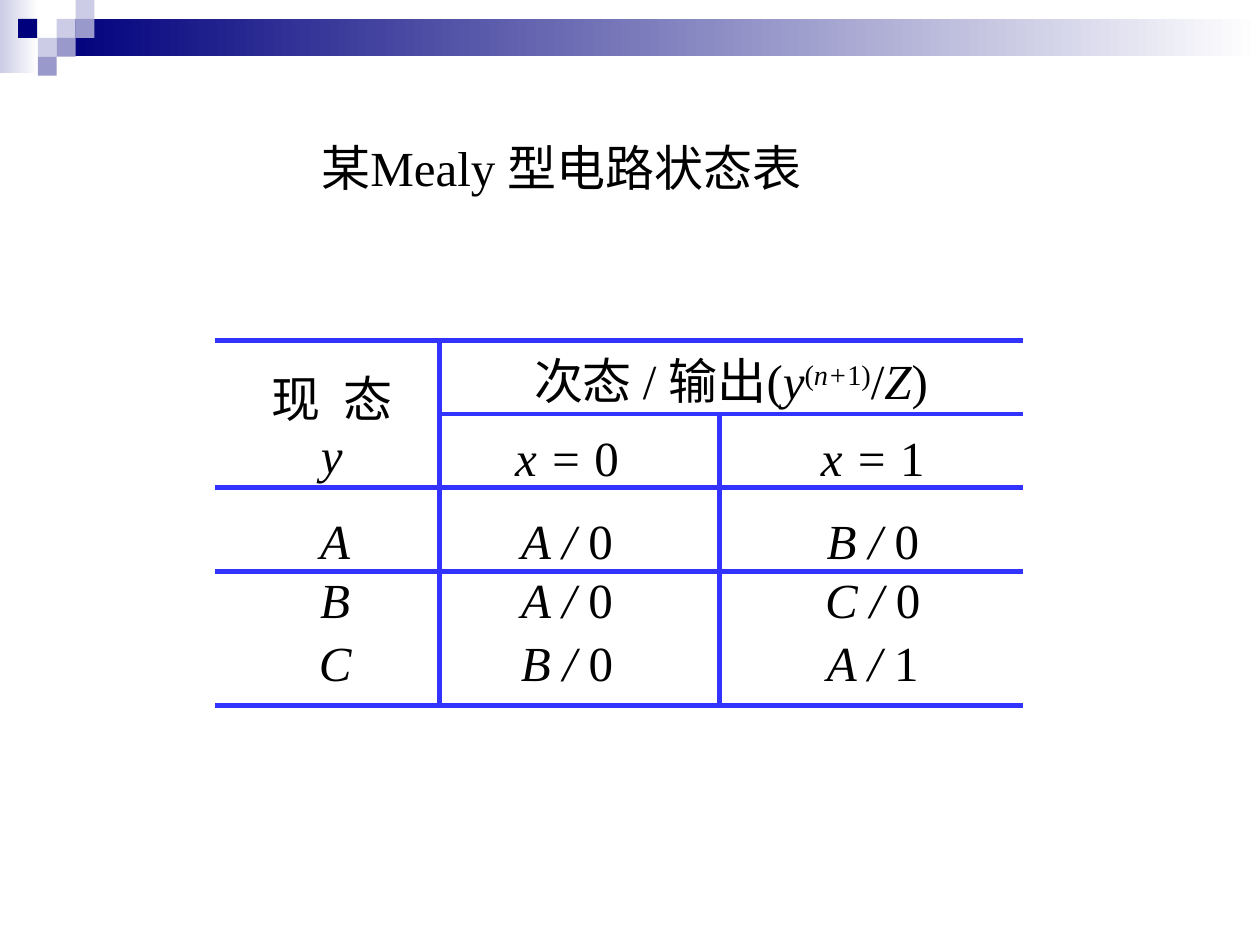
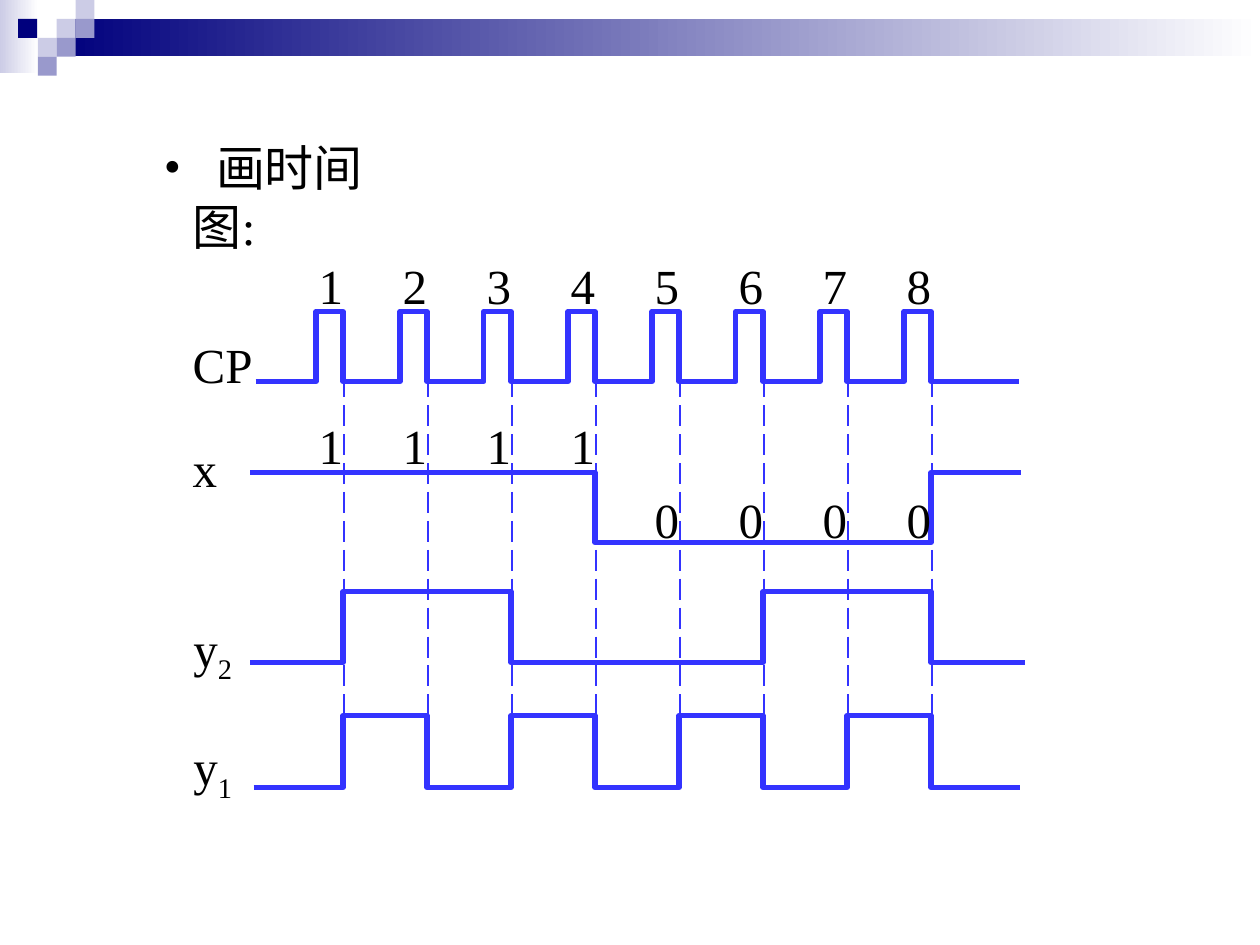
from dataclasses import dataclass

from lxml.etree import SubElement
from pptx import Presentation
from pptx.dml.color import RGBColor
from pptx.enum.dml import MSO_LINE
from pptx.enum.shapes import MSO_CONNECTOR, MSO_SHAPE
from pptx.enum.text import MSO_ANCHOR, MSO_AUTO_SIZE, PP_ALIGN
from pptx.oxml import parse_xml
from pptx.oxml.ns import nsdecls, qn
from pptx.util import Pt


@dataclass(frozen=True)
class Theme:
    font: str = "Times New Roman"
    size: float = 28
    text: str = "000000"
    line: str = "3333FF"
    navy: str = "00007D"
    violet: str = "9999CC"
    pale: str = "CCCCE6"
    white: str = "FFFFFF"
    heavy: float = 3
    thin: float = 1.5


THEME = Theme()
ITALIC = {"italic": True}
SUPER = {"baseline": 30}
SUPER_ITALIC = {"italic": True, "baseline": 30}
SUB = {"baseline": -25}
WIDE = {"spacing": 7}

# Shared band: left, top, width, height, colours from left to right
BAND = [
    (0, 0, 22, 42, (THEME.pale, THEME.white)),
    (32.4, 10.8, 687.6, 21.3, (THEME.navy, THEME.white)),
]
SQUARE = 10.8
SQUARES = [
    (32.4, 10.8, THEME.pale), (43.2, 0, THEME.pale), (43.2, 10.8, THEME.violet),
    (21.6, 21.6, THEME.pale), (10.4, 10.8, THEME.navy), (32.4, 21.6, THEME.violet),
    (21.6, 32.4, THEME.violet),
]

# State table: runs are (text, style)
TABLE_TITLE = [("某Mealy 型电路状态表", {})]
STATE_HEADING = [[("现", {}), (" ", WIDE), ("态", {})], [("y", ITALIC)]]
NEXT_HEADING = [
    ("次态 / 输出(", {}), ("y", ITALIC), ("(", SUPER), ("n+", SUPER_ITALIC),
    ("1)", SUPER), ("/", {}), ("Z", ITALIC), (")", {}),
]
INPUTS = "01"
STATES = [("A", ("A", "0"), ("B", "0")),
          ("B", ("A", "0"), ("C", "0")),
          ("C", ("B", "0"), ("A", "1"))]
TABLE_LEFT, TABLE_TOP = 123, 194.5
COLUMN_WIDTHS = [128, 160, 173.5]
ROW_HEIGHTS = [42, 42, 48, 36, 40.5]
ROW_PADDING = [8, 11, 16, 2, 2]
HEADER_SPACING = [34, 31]
STATE_SPACING = [10, 30]
COLUMN_INSETS = [(9, 0), (0, 14), (2, 0)]

# Timing diagram
DIAGRAM_TITLE = [(" ", WIDE), ("画时间图:", {})]
FIRST_EDGE, CLOCK_STEP, PULSE = 196, 48, 15.5
EDGES = [FIRST_EDGE + CLOCK_STEP * index for index in range(8)]
INPUT_BITS = "11110000"
CLOCK_TOGGLES = [x for edge in EDGES for x in (edge - PULSE, edge)]
# start, end, first level, other level, places where the level changes
WAVES = [
    (146, 582, 218, 178, CLOCK_TOGGLES),
    (143, 583.5, 270, 310, [EDGES[3], EDGES[7]]),
    (143, 586, 378.5, 338, [EDGES[index] for index in (0, 2, 5, 7)]),
    (145, 583, 450, 409, EDGES),
]
# left, top, width, runs
SIGNAL_NAMES = [
    (103, 187.5, 60, [("CP", {})]),
    (103, 247, 28, [("x", {})]),
    (103.5, 350, 50, [("y", {}), ("2", SUB)]),
    (103.5, 417.5, 50, [("y", {}), ("1", SUB)]),
]


def color(value):
    return RGBColor.from_string(value)


def add_runs(paragraph, runs):
    for text, style in runs:
        run = paragraph.add_run()
        run.text = text
        font = run.font
        font.name, font.size = THEME.font, Pt(THEME.size)
        font.color.rgb = color(THEME.text)
        font.italic = style.get("italic", False)
        properties = run.font._element
        if "baseline" in style:
            properties.set("baseline", str(style["baseline"] * 1000))
        if "spacing" in style:
            properties.set("spc", str(style["spacing"] * 100))


def add_label(slide, left, top, width, runs):
    box = slide.shapes.add_textbox(Pt(left), Pt(top), Pt(width), Pt(41))
    box.text_frame.word_wrap = False
    add_runs(box.text_frame.paragraphs[0], runs)


def place_title(slide, left, width, height, runs):
    title = slide.shapes.title
    title.left, title.top = Pt(left), Pt(75)
    title.width, title.height = Pt(width), Pt(height)
    frame = title.text_frame
    frame.word_wrap = True
    frame.auto_size = MSO_AUTO_SIZE.NONE
    frame.vertical_anchor = MSO_ANCHOR.TOP
    paragraph = frame.paragraphs[0]
    paragraph.alignment = PP_ALIGN.LEFT
    add_runs(paragraph, runs)
    return paragraph


def add_bullet(paragraph, indent):
    properties = paragraph._p.get_or_add_pPr()
    properties.set("marL", str(Pt(indent)))
    properties.set("indent", str(-Pt(indent)))
    bullet_color = SubElement(properties, qn("a:buClr"))
    SubElement(bullet_color, qn("a:srgbClr")).set("val", THEME.text)
    SubElement(properties, qn("a:buFont")).set("typeface", THEME.font)
    SubElement(properties, qn("a:buChar")).set("char", "•")


def add_band(layout, slide):
    """Draw the shared band and move it to the layout."""
    squares = [(left, top, SQUARE, SQUARE, (fill,)) for left, top, fill in SQUARES]
    for number, (left, top, width, height, colors) in enumerate(BAND + squares, 100):
        shape = slide.shapes.add_shape(
            MSO_SHAPE.RECTANGLE, Pt(left), Pt(top), Pt(width), Pt(height))
        shape.shadow.inherit = False
        shape.line.fill.background()
        if len(colors) == 1:
            shape.fill.solid()
            shape.fill.fore_color.rgb = color(colors[0])
        else:
            shape.fill.gradient()
            shape.fill.gradient_angle = 0
            for stop, value in zip(shape.fill.gradient_stops, colors):
                stop.color.rgb = color(value)
        shape.element.nvSpPr.cNvPr.set("id", str(number))
        layout.shapes.element.append(shape.element)


def set_borders(cell, row, column):
    sides = {
        "L": column == 1 or (column == 2 and row > 0),
        "R": column == 0 or (column == 1 and row > 0),
        "T": row <= 2,
        "B": row == len(ROW_HEIGHTS) - 1,
    }
    properties = cell._tc.get_or_add_tcPr()
    shown = [side for side, visible in sides.items() if visible]
    for position, side in enumerate(shown):
        properties.insert(position, parse_xml(
            f'<a:ln{side} {nsdecls("a")} w="{Pt(THEME.heavy)}"><a:solidFill>'
            f'<a:srgbClr val="{THEME.line}"/></a:solidFill></a:ln{side}>'))


def fill_cell(cell, paragraphs, spacings):
    frame = cell.text_frame
    for index, runs in enumerate(paragraphs):
        paragraph = frame.add_paragraph() if index else frame.paragraphs[0]
        paragraph.alignment = PP_ALIGN.CENTER
        if spacings:
            paragraph.line_spacing = Pt(spacings[index])
        add_runs(paragraph, runs)


def add_state_table(slide):
    frame = slide.shapes.add_table(
        len(ROW_HEIGHTS), len(COLUMN_WIDTHS), Pt(TABLE_LEFT), Pt(TABLE_TOP),
        Pt(sum(COLUMN_WIDTHS)), Pt(sum(ROW_HEIGHTS)))
    table = frame.table
    table.first_row = table.horz_banding = False
    # The plain style has neither fill nor grid
    style = table._tbl.tblPr.find(qn("a:tableStyleId"))
    style.text = "{2D5ABB26-0587-4C30-8999-92F81FD0307C}"
    for column, width in zip(table.columns, COLUMN_WIDTHS):
        column.width = Pt(width)
    for row, height in zip(table.rows, ROW_HEIGHTS):
        row.height = Pt(height)

    # Paragraphs and exact line spacings by cell
    contents = {(0, 0): (STATE_HEADING, STATE_SPACING),
                (0, 1): ([NEXT_HEADING], HEADER_SPACING[:1])}
    for column, value in enumerate(INPUTS, 1):
        contents[1, column] = [[("x = ", ITALIC), (value, {})]], HEADER_SPACING[1:]
    for row, (state, *results) in enumerate(STATES, 2):
        contents[row, 0] = [[(state, ITALIC)]], None
        for column, (following, output) in enumerate(results, 1):
            runs = [(following + " / ", ITALIC), (output, {})]
            contents[row, column] = [runs], None

    for row, padding in enumerate(ROW_PADDING):
        for column, (left, right) in enumerate(COLUMN_INSETS):
            cell = table.cell(row, column)
            cell.fill.background()
            cell.margin_left, cell.margin_right = Pt(left), Pt(right)
            cell.margin_top, cell.margin_bottom = Pt(padding), 0
            set_borders(cell, row, column)
            if (row, column) in contents:
                fill_cell(cell, *contents[row, column])
    heading = table.cell(0, 0)
    heading.merge(table.cell(1, 0))
    heading.vertical_anchor = MSO_ANCHOR.BOTTOM
    heading.margin_left, heading.margin_top = Pt(5), 0
    heading.margin_bottom = Pt(2)
    outputs = table.cell(0, 1)
    outputs.merge(table.cell(0, 2))
    outputs.margin_right = 0


def add_dashed_line(slide, x, bottom):
    line = slide.shapes.add_connector(
        MSO_CONNECTOR.STRAIGHT, Pt(x), Pt(198.5), Pt(x), Pt(bottom))
    line.line.color.rgb = color(THEME.line)
    line.line.width = Pt(THEME.thin)
    line.line.dash_style = MSO_LINE.LONG_DASH
    SubElement(line.element.spPr, qn("a:effectLst"))


def add_wave(slide, start, end, level, other, toggles):
    builder = slide.shapes.build_freeform(Pt(start), Pt(level))
    points = []
    for x in toggles:
        points += [(Pt(x), Pt(level)), (Pt(x), Pt(other))]
        level, other = other, level
    points.append((Pt(end), Pt(level)))
    builder.add_line_segments(points, close=False)
    wave = builder.convert_to_shape()
    wave.shadow.inherit = False
    wave.fill.background()
    wave.line.color.rgb = color(THEME.line)
    wave.line.width = Pt(THEME.heavy)


def add_timing_diagram(slide):
    for index, x in enumerate(EDGES):
        add_dashed_line(slide, x + 0.5, 448.5 if index else 423)
    for wave in WAVES:
        add_wave(slide, *wave)
    for index, (x, bit) in enumerate(zip(EDGES, INPUT_BITS), 1):
        add_label(slide, x - 21, 142.5, 28, [(str(index), {})])
        add_label(slide, x - 21, 234 if bit == "1" else 276, 28, [(bit, {})])
    for name in SIGNAL_NAMES:
        add_label(slide, *name)


def main():
    presentation = Presentation()
    presentation.slide_width, presentation.slide_height = Pt(720), Pt(540)
    layout = presentation.slide_layouts[5]

    # State table
    slide = presentation.slides.add_slide(layout)
    add_band(layout, slide)
    place_title(slide, 176.5, 320, 41, TABLE_TITLE)
    add_state_table(slide)

    # Timing diagram
    slide = presentation.slides.add_slide(layout)
    add_bullet(place_title(slide, 86.5, 144, 75, DIAGRAM_TITLE), 16.5)
    add_timing_diagram(slide)

    presentation.save("out.pptx")


if __name__ == "__main__":
    main()
